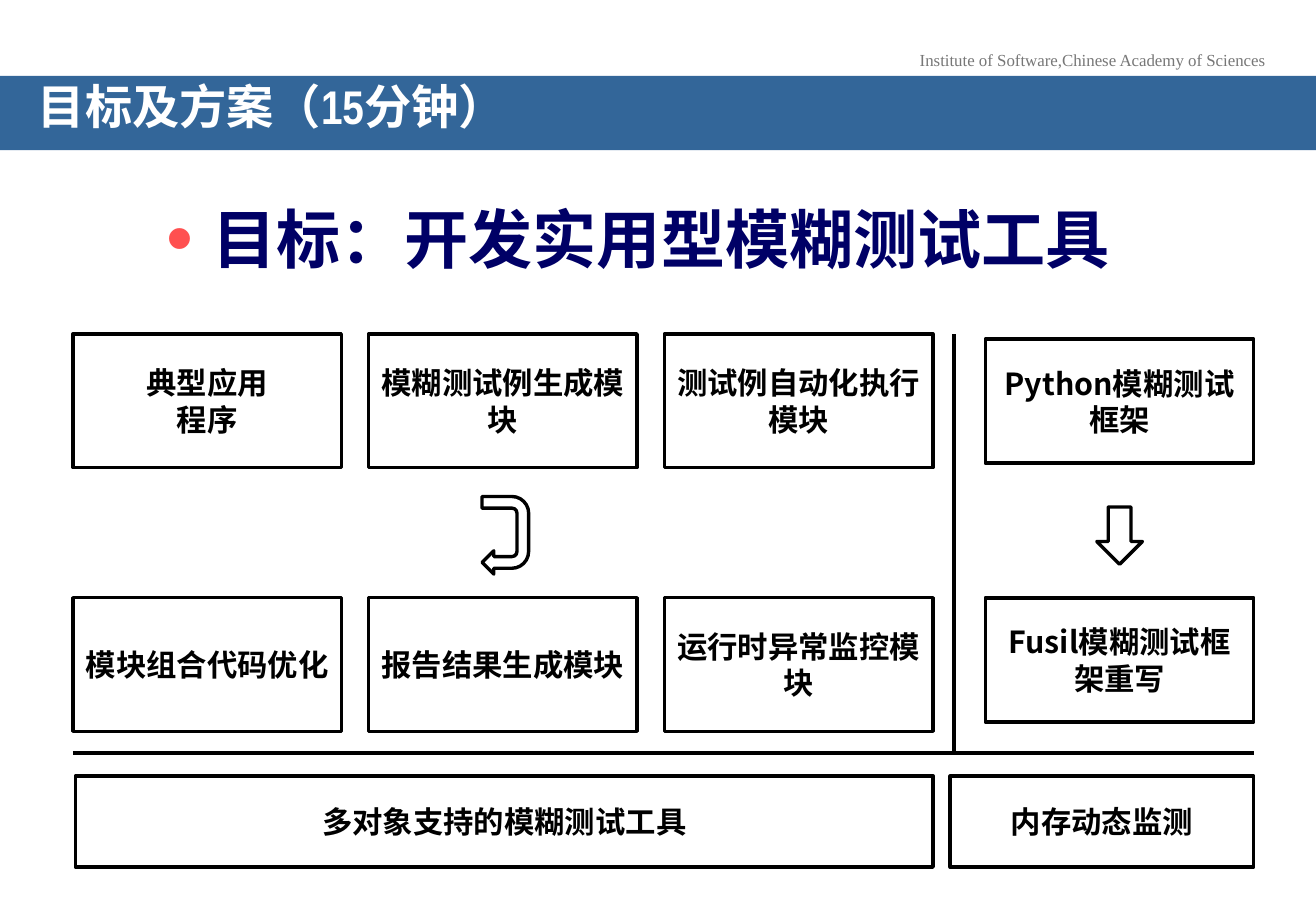
import pptx
import pptx.util
from dataclasses import dataclass
from lxml import etree
from pptx.dml.color import RGBColor
from pptx.enum.shapes import MSO_CONNECTOR, MSO_SHAPE
from pptx.enum.text import MSO_ANCHOR, MSO_AUTO_SIZE, PP_ALIGN
from pptx.oxml.ns import qn

Pt = pptx.util.Pt


@dataclass(frozen=True)
class Theme:
    white: str = "FFFFFF"
    black: str = "000000"
    grey: str = "777777"
    band: str = "336699"
    navy: str = "000066"
    dot: str = "FF5050"
    small: int = 10
    label: int = 18
    title: int = 28
    goal: int = 38
    line: int = 2
    asian: str = "Noto Sans CJK SC"


THEME = Theme()


def color(code):
    return RGBColor.from_string(code)


def style(frame, face, size, ink, bold=True, align=PP_ALIGN.CENTER):
    for para in frame.paragraphs:
        para.alignment = align
        for run in para.runs:
            font = run.font
            font.name, font.size, font.bold = face, Pt(size), bold
            font.color.rgb = color(ink)
            latin = font._element.find(qn("a:latin"))
            asian = etree.Element(qn("a:ea"), typeface=THEME.asian)
            latin.addnext(asian)


def place(item, left, top, width, height):
    item.left, item.top = Pt(left), Pt(top)
    item.width, item.height = Pt(width), Pt(height)


def draw(slide, kind, left, top, width, height):
    item = slide.shapes.add_shape(kind, Pt(left), Pt(top), Pt(width), Pt(height))
    item.shadow.inherit = False
    item.fill.solid()
    item.fill.fore_color.rgb = color(THEME.white)
    item.line.color.rgb = color(THEME.black)
    item.line.width = Pt(THEME.line)
    return item


def card(slide, text, left, top, width, height):
    frame = draw(slide, MSO_SHAPE.RECTANGLE, left, top, width, height).text_frame
    frame.word_wrap = True
    frame.vertical_anchor = MSO_ANCHOR.MIDDLE
    frame.text = text
    style(frame, THEME.asian, THEME.label, THEME.black)


def rule(slide, left, top, right, low):
    line = slide.shapes.add_connector(
        MSO_CONNECTOR.STRAIGHT, Pt(left), Pt(top), Pt(right), Pt(low))
    line.line.color.rgb = color(THEME.black)
    line.line.width = Pt(THEME.line)
    etree.SubElement(line._element.spPr, qn("a:effectLst"))


def header(slide, left, top, width, height):
    # Institute name above the band
    note = slide.shapes.add_textbox(
        Pt(left + width - 243), Pt(top - 19), Pt(221), Pt(19))
    note.text_frame.word_wrap = False
    note.text_frame.text = "Institute of Software,Chinese Academy of Sciences"
    style(note.text_frame, "Times New Roman", THEME.small, THEME.grey, False)

    # Title band
    title = slide.shapes.title
    place(title, left, top, width, height)
    title.fill.solid()
    title.fill.fore_color.rgb = color(THEME.band)
    frame = title.text_frame
    frame.auto_size = MSO_AUTO_SIZE.NONE
    frame.vertical_anchor = MSO_ANCHOR.MIDDLE
    frame.margin_left = frame.margin_right = Pt(22.5)
    frame.text = "目标及方案（15分钟）"
    frame.paragraphs[0].line_spacing = 0.7
    style(frame, "Arial Narrow", THEME.title, THEME.white, align=PP_ALIGN.LEFT)


def goal(slide, left, top, width, height):
    body = slide.placeholders[1]
    place(body, left, top, width, height)
    frame = body.text_frame
    frame.auto_size = MSO_AUTO_SIZE.NONE
    frame.text = "目标：开发实用型模糊测试工具"
    para = frame.paragraphs[0]
    props = para._p.get_or_add_pPr()
    props.set("marL", str(Pt(27)))
    props.set("indent", str(-Pt(27)))
    tint = etree.SubElement(props, qn("a:buClr"))
    etree.SubElement(tint, qn("a:srgbClr"), val=THEME.dot)
    etree.SubElement(props, qn("a:buSzPct"), val="120000")
    etree.SubElement(props, qn("a:buFont"), typeface="Arial")
    etree.SubElement(props, qn("a:buChar"), char="•")
    para.space_before = Pt(0)
    style(frame, "Arial", THEME.goal, THEME.navy, align=PP_ALIGN.LEFT)


def modules(slide, left, top, width, height):
    # Three columns in two rows, with the turn between them
    rows = [
        ["典型应用\n程序", "模糊测试例生成模块", "测试例自动化执行模块"],
        ["模块组合代码优化", "报告结果生成模块", "运行时异常监控模块"],
    ]
    wide, high = 159.2, 79.2
    for r, row in enumerate(rows):
        for c, text in enumerate(row):
            card(slide, text, left + c * (width - wide) / 2,
                 top + r * (height - high), wide, high)
    turn = draw(slide, MSO_SHAPE.U_TURN_ARROW,
                left + 233.3, top + 105.5, 46, 27.6)
    turn.rotation = 90
    for i, value in enumerate([0.25, 0.25, 0.25, 0.359, 0.998]):
        turn.adjustments[i] = value


def rewrite(slide, left, top, width, height):
    # Framework above its new version
    high = 73.6
    card(slide, "Python模糊测试框架", left, top, width, high)
    card(slide, "Fusil模糊测试框架重写", left, top + height - high, width, high)
    draw(slide, MSO_SHAPE.DOWN_ARROW, left + (width - 27) / 2, top + 99.5, 27, 34)


def base(slide, left, top, width, height):
    # Two wide cards under the rule
    card(slide, "多对象支持的模糊测试工具", left, top, 508.5, height)
    card(slide, "内存动态监测", left + width - 180, top, 180, height)


def main():
    deck = pptx.Presentation()
    deck.slide_width, deck.slide_height = Pt(780), Pt(540)
    slide = deck.slides.add_slide(deck.slide_layouts[1])
    header(slide, 0, 45, 780, 44)
    goal(slide, 91.5, 114.5, 597, 79)
    modules(slide, 43.2, 198, 509.8, 235.5)
    rewrite(slide, 584, 201, 159.2, 227)
    base(slide, 44.6, 460, 698.6, 54)
    # Dividing lines
    rule(slide, 565.4, 198, 565.4, 445.5)
    rule(slide, 43.2, 446.4, 743.5, 446.4)
    deck.save("out.pptx")


if __name__ == "__main__":
    main()
